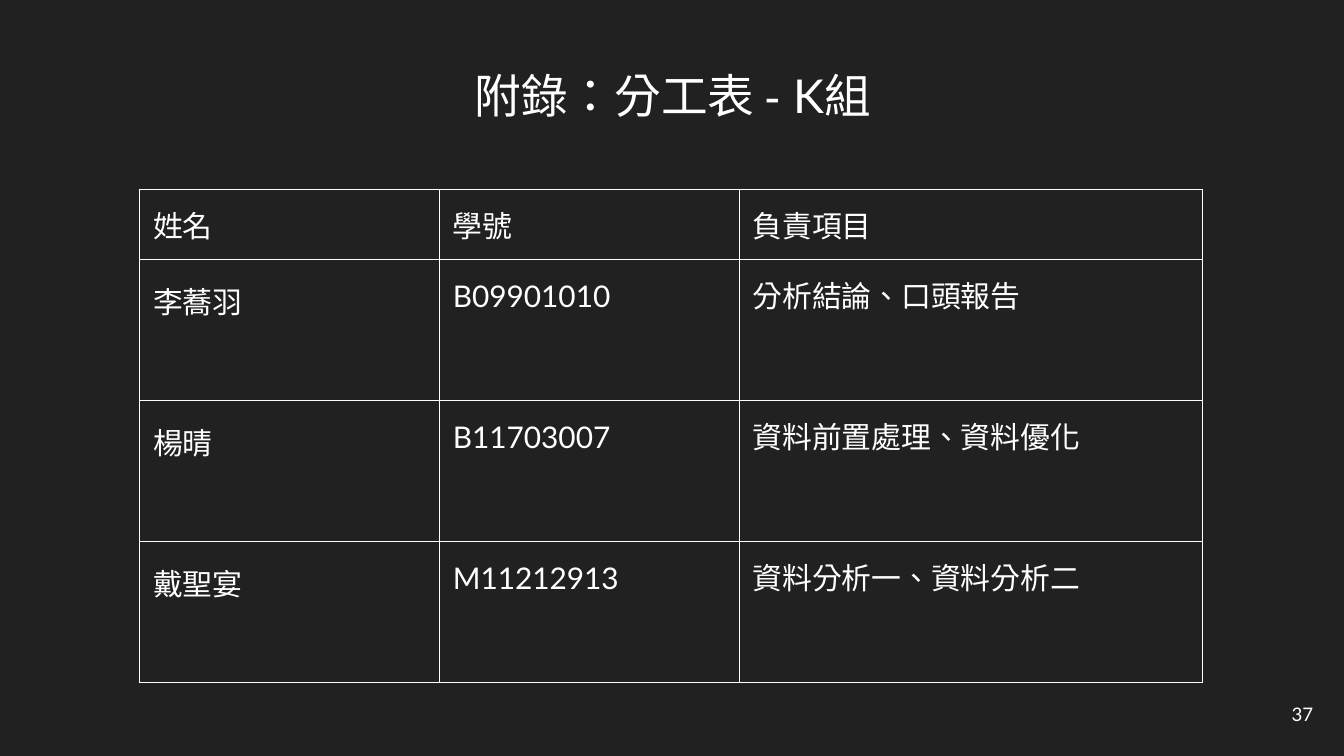
from pptx import Presentation
from pptx.dml.color import RGBColor
from pptx.enum.lang import MSO_LANGUAGE_ID
from pptx.enum.text import MSO_ANCHOR, PP_ALIGN
from pptx.oxml import parse_xml
from pptx.oxml.ns import nsdecls
from pptx.util import Inches, Pt

TOP, MIDDLE = MSO_ANCHOR.TOP, MSO_ANCHOR.MIDDLE
CENTER, RIGHT = PP_ALIGN.CENTER, PP_ALIGN.RIGHT
CHINESE = MSO_LANGUAGE_ID.TRADITIONAL_CHINESE
COLORS = {"back": "212121", "ink": "FFFFFF"}
PAD = Inches(0.1)


def write(para, text, font, size):
    """Add a run in the slide's ink colour."""
    run = para.add_run()
    run.text = text
    look = {"name": font, "size": Pt(size), "language_id": CHINESE}
    for key, value in look.items():
        setattr(run.font, key, value)
    run.font.color.rgb = RGBColor.from_string(COLORS["ink"])


def pad(item):
    for side in ("left", "top", "right", "bottom"):
        setattr(item, f"margin_{side}", PAD)


prs = Presentation()
prs.slide_width, prs.slide_height = Inches(10), Inches(10 * 9 / 16)
slide = prs.slides.add_slide(prs.slide_layouts[6])
slide.background.fill.solid()
slide.background.fill.fore_color.rgb = RGBColor.from_string(COLORS["back"])

# Title and page number
labels = [
    ((2.26, 0.4, 5.49, 0.81), TOP, CENTER, 25,
     [("附錄：分工表 - ", "Arial"), ("K組", "Lato")]),
    ((9.27, 5.1, 0.6, 0.43), MIDDLE, RIGHT, 10, [("37", "Lato")]),
]
for place, anchor, align, size, runs in labels:
    frame = slide.shapes.add_textbox(*map(Inches, place)).text_frame
    pad(frame)
    frame.word_wrap = True
    frame.vertical_anchor = anchor
    para = frame.paragraphs[0]
    para.alignment = align
    for text, font in runs:
        write(para, text, font, size)

# Table of members and their tasks
rows = [
    ("姓名", "學號", "負責項目"),
    ("李蕎羽", "B09901010", "分析結論、口頭報告"),
    ("楊晴", "B11703007", "資料前置處理、資料優化"),
    ("戴聖宴", "M11212913", "資料分析一、資料分析二"),
]
widths = [2.23, 2.23, 3.45]
heights = [0.52] + [1.05] * 3
table = slide.shapes.add_table(
    len(rows), len(widths), Inches(1.04), Inches(1.41),
    Inches(sum(widths)), Inches(sum(heights))).table
table.first_row = table.horz_banding = False
for col, width in zip(table.columns, widths):
    col.width = Inches(width)
for row, height in zip(table.rows, heights):
    row.height = Inches(height)

for r, row in enumerate(rows):
    for c, text in enumerate(row):
        cell = table.cell(r, c)
        pad(cell)
        para = cell.text_frame.paragraphs[0]
        member = r > 0 and c < 2
        if member:
            para.line_spacing, para.space_after = 1.15, Pt(12)
        write(para, text, "Lato" if member else "Arial", 16)
        props = cell._tc.get_or_add_tcPr()
        for side in ("lnL", "lnR", "lnT", "lnB"):
            props.append(parse_xml(
                f'<a:{side} {nsdecls("a")} w="{Pt(0.75)}"><a:solidFill>'
                f'<a:srgbClr val="{COLORS["ink"]}"/></a:solidFill></a:{side}>'))
        cell.fill.background()

prs.save("out.pptx")
